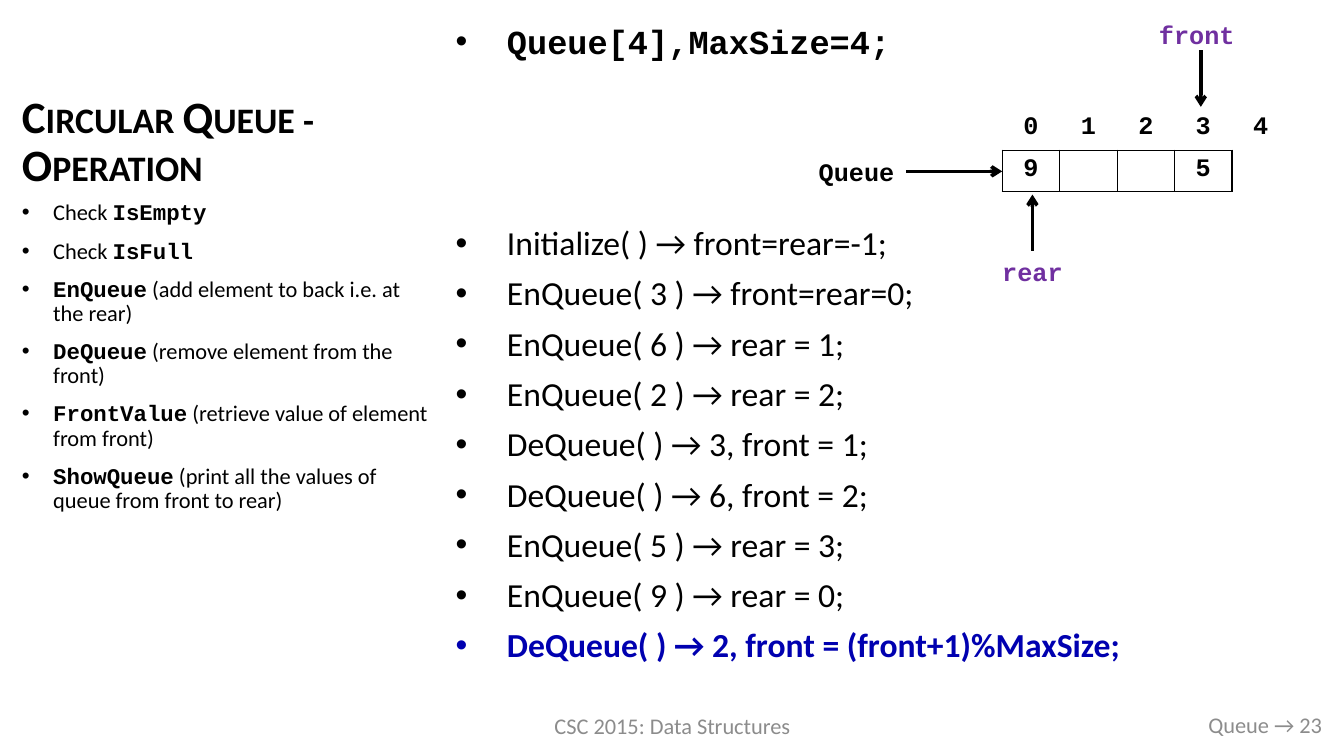
from dataclasses import dataclass

from lxml import etree
from pptx import Presentation
from pptx import util as u
from pptx.dml.color import RGBColor
from pptx.enum import shapes, text
from pptx.oxml import ns

BLACK = RGBColor(0x00, 0x00, 0x00)
BLUE = RGBColor(0x00, 0x00, 0xB0)
PURPLE = RGBColor(0x70, 0x30, 0xA0)
GRAY = RGBColor(0x8C, 0x8C, 0x8C)
SANS, MONO = "Calibri", "Courier New"
LEFT, MID, RIGHT = text.PP_ALIGN.LEFT, text.PP_ALIGN.CENTER, text.PP_ALIGN.RIGHT
TOP, CENTER, BOTTOM = text.MSO_ANCHOR.TOP, text.MSO_ANCHOR.MIDDLE, text.MSO_ANCHOR.BOTTOM
NO_GRID = "{2D5ABB26-0587-4C30-8999-92F81FD0307C}"


@dataclass
class Run:
    words: str
    size: float
    font: str = SANS
    color: RGBColor = BLACK
    bold: bool = False
    caps: bool = False


@dataclass
class Para:
    runs: list[Run]
    before: float = 0
    indent: float = 0
    align: text.PP_ALIGN = LEFT
    lines: float = 1.0


@dataclass
class Box:
    x: float
    y: float
    w: float
    h: float
    paras: list[Para]
    anchor: text.MSO_ANCHOR = TOP


@dataclass
class Arrow:
    x1: float
    y1: float
    x2: float
    y2: float
    start: object = None
    side: int = 0


def add_node(parent, tag: str, **attrs: str):
    return etree.SubElement(parent, ns.qn(tag), **attrs)


def fill_para(p, para: Para) -> None:
    if para.indent:
        props = p._p.get_or_add_pPr()
        props.set("marL", str(u.Inches(para.indent)))
        props.set("indent", str(-u.Inches(para.indent)))
        add_node(props, "a:buFont", typeface="Arial")
        add_node(props, "a:buChar", char="•")
    p.alignment = para.align
    p.line_spacing = para.lines
    p.space_before = u.Pt(para.before)
    for item in para.runs:
        run = p.add_run()
        run.text = item.words
        font = run.font
        font.size, font.name, font.bold = u.Pt(item.size), item.font, item.bold
        font.color.rgb = item.color
        if item.caps:
            run._r.get_or_add_rPr().set("cap", "small")


def draw_box(slide, box: Box):
    shape = slide.shapes.add_textbox(*map(u.Inches, (box.x, box.y, box.w, box.h)))
    frame = shape.text_frame
    frame.word_wrap = True
    frame.vertical_anchor = box.anchor
    for i, para in enumerate(box.paras):
        fill_para(frame.add_paragraph() if i else frame.paragraphs[0], para)
    return shape


def draw_arrow(slide, arrow: Arrow) -> None:
    ends = map(u.Inches, (arrow.x1, arrow.y1, arrow.x2, arrow.y2))
    line = slide.shapes.add_connector(shapes.MSO_CONNECTOR.STRAIGHT, *ends)
    if arrow.start is not None:
        line.begin_connect(arrow.start, arrow.side)
    line.line.color.rgb = BLACK
    line.line.width = u.Pt(2.5)
    add_node(line.line._get_or_add_ln(), "a:tailEnd", type="arrow")
    add_node(line._element.spPr, "a:effectLst")


def draw_edges(cell, sides: str) -> None:
    props = cell._tc.get_or_add_tcPr()
    for side in sides:
        edge = add_node(props, f"a:ln{side}", w=str(u.Pt(1)))
        paint = add_node(edge, "a:solidFill")
        add_node(paint, "a:srgbClr", val=str(BLACK))
    cell.fill.background()


def draw_queue(slide, x: float, y: float, rows: list[list[str]], step: float, tall: float) -> None:
    count = len(rows[0])
    frame = slide.shapes.add_table(len(rows), count, u.Inches(x), u.Inches(y),
                                   u.Inches(step * count), u.Inches(tall * len(rows)))
    table = frame.table
    table.first_row = table.horz_banding = False
    table._tbl.tblPr.find(ns.qn("a:tableStyleId")).text = NO_GRID
    for col in table.columns:
        col.width = u.Inches(step)
    for r, row in enumerate(rows):
        table.rows[r].height = u.Inches(tall)
        for c, word in enumerate(row):
            cell = table.cell(r, c)
            p = cell.text_frame.paragraphs[0]
            p.font.size = u.Pt(18)
            if word:
                fill_para(p, Para([Run(word, 18, MONO, bold=True)], align=MID))
            last = c == count - 1
            if r == 0:
                draw_edges(cell, "" if last else "B")
            else:
                draw_edges(cell, "L" if last else "LRTB")


def tag(word: str, color: RGBColor) -> list[Para]:
    return [Para([Run(word, 18, MONO, color, True)], align=MID)]


def foot(words: str, align: text.PP_ALIGN) -> list[Para]:
    return [Para([Run(words, 16, color=GRAY)], align=align)]


def main() -> None:
    deck = Presentation()
    deck.slide_width, deck.slide_height = u.Inches(13.33), u.Inches(7.5)
    slide = deck.slides.add_slide(deck.slide_layouts[6])

    # Title
    title = Run("Circular Queue - Operation", 32, bold=True, caps=True)
    draw_box(slide, Box(0.12, 0.2, 4.3, 1.75, [Para([title], lines=0.9)], BOTTOM))

    # Steps, with room for the diagram below the first line
    steps = ["Initialize( ) → front=rear=-1;", "EnQueue( 3 ) → front=rear=0;",
             "EnQueue( 6 ) → rear = 1;", "EnQueue( 2 ) → rear = 2;",
             "DeQueue( ) → 3, front = 1;", "DeQueue( ) → 6, front = 2;",
             "EnQueue( 5 ) → rear = 3;", "EnQueue( 9 ) → rear = 0;"]
    runs = [Run("Queue[4],MaxSize=4;", 24, MONO, bold=True)]
    runs += [Run(step, 24) for step in steps]
    runs.append(Run("DeQueue( ) → 2, front = (front+1)%MaxSize;", 24, color=BLUE, bold=True))
    gaps = [0, 118] + [10] * len(steps)
    paras = [Para([run], gap, 0.51, lines=0.9) for run, gap in zip(runs, gaps)]
    draw_box(slide, Box(4.42, 0.2, 8.46, 6.76, paras))

    # Queue methods: lead, name, note
    tasks = [("Check ", "IsEmpty", ""), ("Check ", "IsFull", ""),
             ("", "EnQueue", " (add element to back i.e. at the rear)"),
             ("", "DeQueue", " (remove element from the front)"),
             ("", "FrontValue", " (retrieve value of element from front)"),
             ("", "ShowQueue", " (print all the values of queue from front to rear)")]
    paras = []
    for i, (lead, name, note) in enumerate(tasks):
        parts = [Run(lead, 16), Run(name, 16, MONO, bold=True), Run(note, 16)]
        paras.append(Para([part for part in parts if part.words], 10 if i else 0, 0.31, lines=0.9))
    draw_box(slide, Box(0.12, 1.95, 4.3, 5.01, paras))

    # Footer
    draw_box(slide, Box(4.42, 7, 4.5, 0.4, foot("CSC 2015: Data Structures", MID), CENTER))
    draw_box(slide, Box(9.42, 6.99, 3.79, 0.4, foot("Queue → 23", RIGHT), CENTER))

    # Queue diagram
    cells = [["0", "1", "2", "3", "4"], ["9", "", "", "5", ""]]
    draw_queue(slide, 9.94, 1.08, cells, 0.57, 0.41)
    draw_box(slide, Box(11.36, 0.14, 1.02, 0.4, tag("front", PURPLE)))
    queue = draw_box(slide, Box(8, 1.5, 0.99, 0.4, tag("Queue", BLACK)))
    rear = draw_box(slide, Box(9.82, 2.49, 0.84, 0.4, tag("rear", PURPLE)))
    for arrow in (Arrow(11.91, 0.5, 11.91, 1.06),
                  Arrow(8.99, 1.7, 9.94, 1.7, queue, 3),
                  Arrow(10.24, 2.49, 10.24, 1.93, rear, 0)):
        draw_arrow(slide, arrow)

    deck.save("out.pptx")


if __name__ == "__main__":
    main()
